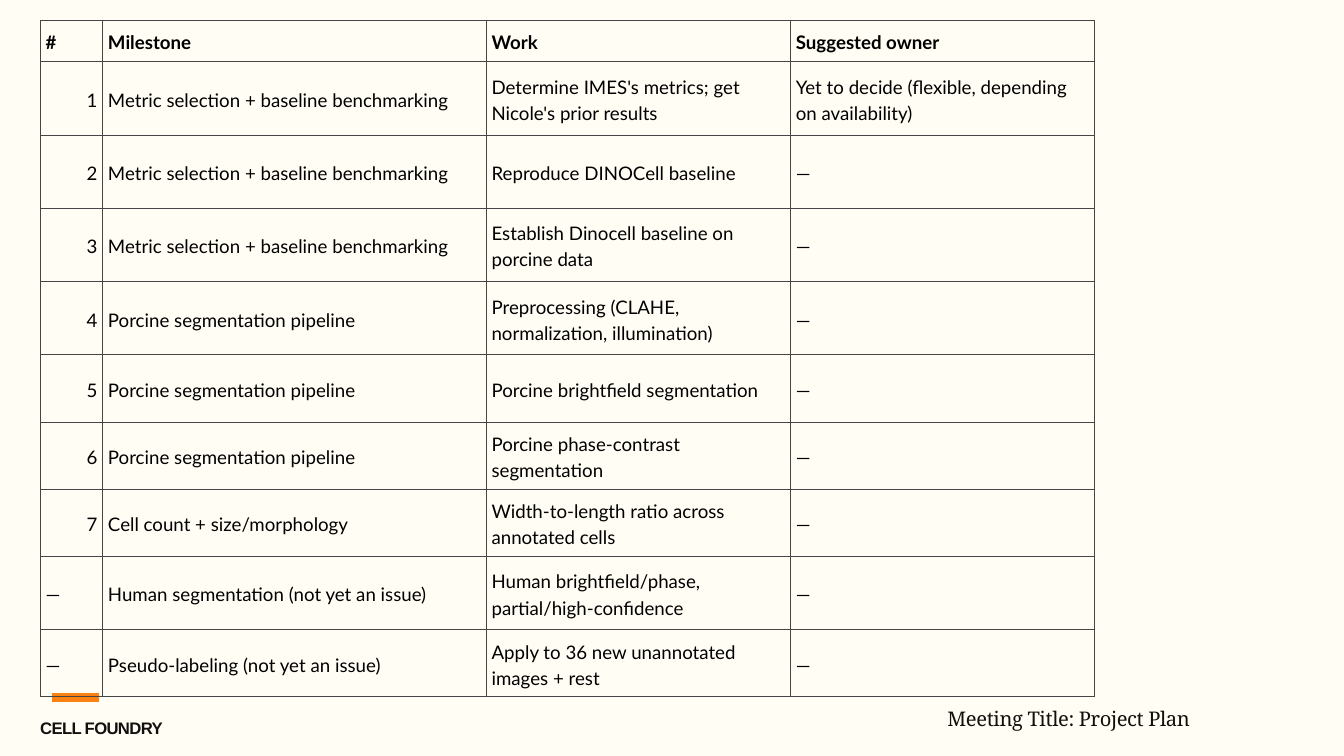
from lxml import etree
from pptx import Presentation
from pptx import util as u
from pptx.dml.color import RGBColor
from pptx.enum import shapes, text
from pptx.oxml import ns

CREAM = RGBColor(0xFF, 0xFD, 0xF4)
ORANGE = RGBColor(0xFE, 0x82, 0x13)
INK = RGBColor(0x12, 0x10, 0x0E)
BLACK = RGBColor(0, 0, 0)
GRID = RGBColor(0x45, 0x45, 0x45)

METRICS = "Metric selection + baseline benchmarking"
PIPELINE = "Porcine segmentation pipeline"
HEADINGS = ("#", "Milestone", "Work", "Suggested owner")
TASKS = [
    ("1", METRICS, "Determine IMES's metrics; get Nicole's prior results",
     "Yet to decide (flexible, depending on availability)"),
    ("2", METRICS, "Reproduce DINOCell baseline", "—"),
    ("3", METRICS, "Establish Dinocell baseline on porcine data", "—"),
    ("4", PIPELINE, "Preprocessing (CLAHE, normalization, illumination)", "—"),
    ("5", PIPELINE, "Porcine brightfield segmentation", "—"),
    ("6", PIPELINE, "Porcine phase-contrast segmentation", "—"),
    ("7", "Cell count + size/morphology", "Width-to-length ratio across annotated cells", "—"),
    ("—", "Human segmentation (not yet an issue)",
     "Human brightfield/phase, partial/high-confidence", "—"),
    ("—", "Pseudo-labeling (not yet an issue)", "Apply to 36 new unannotated images + rest", "—"),
]
COLUMN_WIDTHS = (2.36, 14.5, 11.5, 11.5)
TALL, SHORT = 2.77, 2.54
ROW_HEIGHTS = (1.57, TALL, TALL, TALL, TALL, SHORT, SHORT, SHORT, TALL, SHORT)


class PlanSlide:
    """Draws the project plan elements on one slide in a shared style."""

    def __init__(self, slide):
        self.slide = slide
        background = slide.background.fill
        background.solid()
        background.fore_color.rgb = CREAM

    def set_text(self, frame, words, font, size, leading, color, bold=False):
        para = frame.paragraphs[0]
        span = para.add_run()
        span.text = words
        para.line_spacing = u.Pt(leading)
        para.font.name = font
        para.font.size = u.Pt(size)
        para.font.bold = bold
        para.font.color.rgb = color
        return para

    def label(self, words, left, top, width, height, font, size, leading, tracking, bold=False):
        box = self.slide.shapes.add_textbox(u.Cm(left), u.Cm(top), u.Cm(width), u.Cm(height))
        frame = box.text_frame
        frame.word_wrap = True
        frame.auto_size = text.MSO_AUTO_SIZE.SHAPE_TO_FIT_TEXT
        frame.margin_left = frame.margin_right = frame.margin_top = frame.margin_bottom = 0
        para = self.set_text(frame, words, font, size, leading, INK, bold)
        para.runs[0]._r.get_or_add_rPr().set("spc", str(round(tracking * 100)))

    def accent(self, left, right, top):
        line = self.slide.shapes.add_connector(
            shapes.MSO_CONNECTOR.STRAIGHT, u.Cm(left), u.Cm(top), u.Cm(right), u.Cm(top))
        line.line.color.rgb = ORANGE
        line.line.width = u.Pt(9)
        etree.SubElement(line._element.spPr, ns.qn("a:effectLst"))

    def outline(self, cell):
        properties = cell._tc.get_or_add_tcPr()
        for position, side in enumerate(("a:lnL", "a:lnR", "a:lnT", "a:lnB")):
            border = etree.Element(ns.qn(side), w=str(u.Pt(0.75)))
            fill = etree.SubElement(border, ns.qn("a:solidFill"))
            etree.SubElement(fill, ns.qn("a:srgbClr"), val=str(GRID))
            properties.insert(position, border)

    def table(self, rows, left, top, widths, heights):
        frame = self.slide.shapes.add_table(
            len(rows), len(widths), u.Cm(left), u.Cm(top),
            u.Cm(sum(widths)), u.Cm(sum(heights)))
        grid = frame.table
        grid.horz_banding = False
        for column, width in zip(grid.columns, widths):
            column.width = u.Cm(width)
        for row, height in zip(grid.rows, heights):
            row.height = u.Cm(height)
        for row_number, row in enumerate(rows):
            for column_number, words in enumerate(row):
                cell = grid.cell(row_number, column_number)
                cell.fill.background()
                self.outline(cell)
                cell.vertical_anchor = text.MSO_ANCHOR.MIDDLE
                cell.margin_left = cell.margin_right = u.Cm(0.2)
                cell.margin_top = cell.margin_bottom = u.Cm(0.2)
                para = self.set_text(cell.text_frame, words, "Lato", 20, 28, BLACK,
                                     bold=row_number == 0)
                if words.isdigit():
                    para.alignment = text.PP_ALIGN.RIGHT


def main():
    deck = Presentation()
    deck.slide_width, deck.slide_height = u.Cm(50.8), u.Cm(28.58)
    page = PlanSlide(deck.slides.add_slide(deck.slide_layouts[6]))
    page.accent(1.98, 3.73, 26.37)
    page.label("CELL FOUNDRY", 1.52, 27, 6.2, 0.86, "Arial", 17.9, 25, -0.7, bold=True)
    page.label("Meeting Title: Project Plan", 35.81, 26.57, 14, 1.02,
               "Noto Serif", 21.6, 30.2, -0.4)
    page.table([HEADINGS, *TASKS], 1.52, 0.76, COLUMN_WIDTHS, ROW_HEIGHTS)
    deck.save("out.pptx")


if __name__ == "__main__":
    main()
